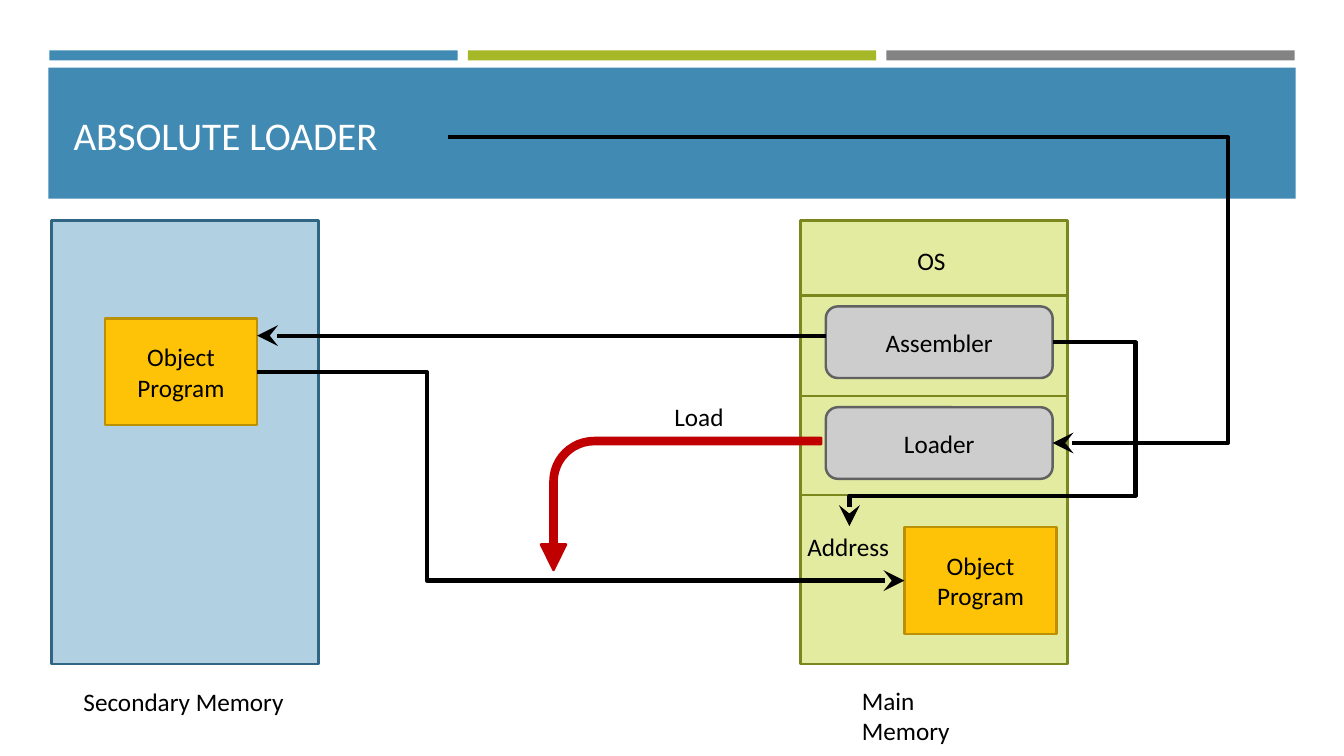
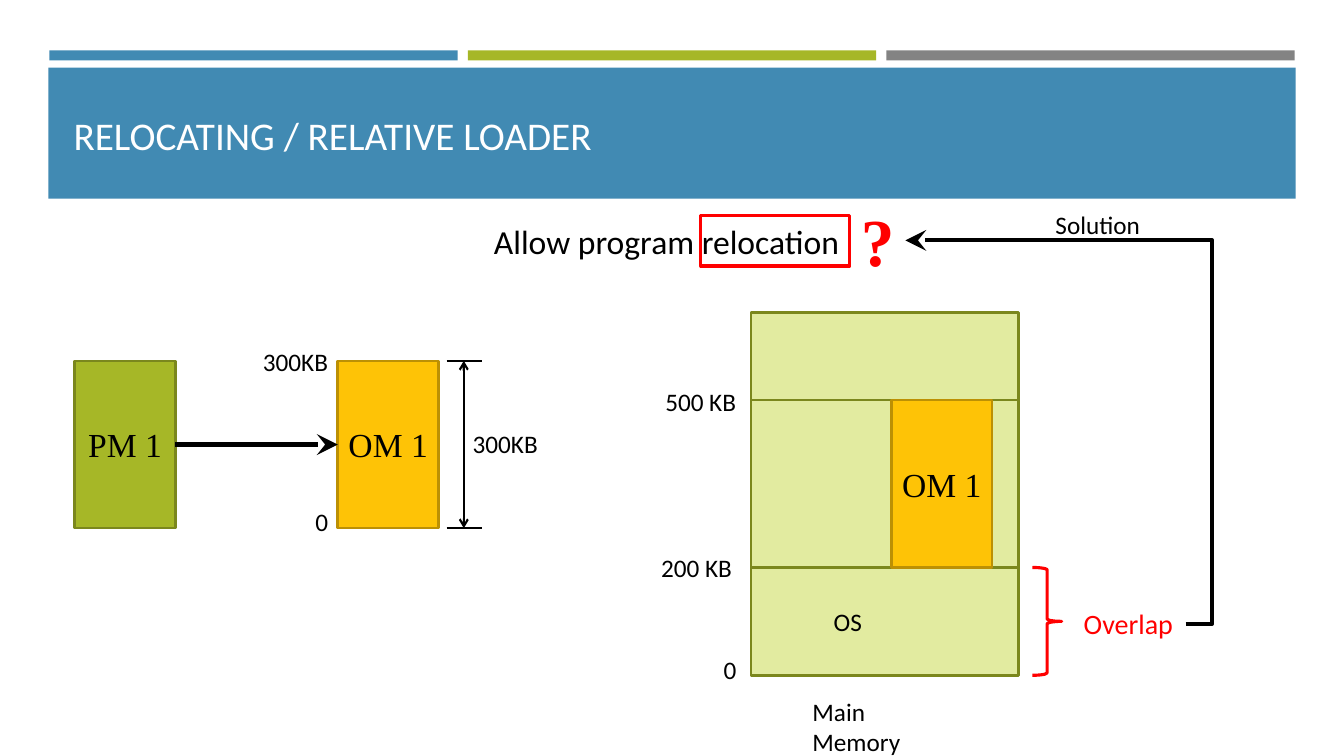
from lxml import etree
from pptx import Presentation
from pptx.dml.color import RGBColor
from pptx.enum import shapes, text
from pptx.oxml import ns
from pptx.util import Inches, Pt

BLUE = RGBColor(0x41, 0x8A, 0xB3)
PALE_BLUE = RGBColor(0xB1, 0xD1, 0xE3)
DARK_BLUE = RGBColor(0x30, 0x66, 0x84)
GREEN = RGBColor(0xA6, 0xB7, 0x27)
PALE_GREEN = RGBColor(0xE2, 0xEB, 0xA0)
DARK_GREEN = RGBColor(0x7B, 0x87, 0x1D)
GREY = RGBColor(0x83, 0x83, 0x83)
PALE_GREY = RGBColor(0xCD, 0xCD, 0xCD)
DARK_GREY = RGBColor(0x61, 0x61, 0x61)
AMBER = RGBColor(0xFE, 0xC3, 0x06)
DARK_AMBER = RGBColor(0xBC, 0x90, 0x04)
CRIMSON = RGBColor(0xC0, 0x00, 0x00)
RED = RGBColor(0xFF, 0x00, 0x00)
BLACK = RGBColor(0x00, 0x00, 0x00)
WHITE = RGBColor(0xFF, 0xFF, 0xFF)

SANS, SERIF = "Calibri", "Times New Roman"
OUTLINE = 1.75
KIND = shapes.MSO_SHAPE
TOP, LEFT, RIGHT = 0, 1, 3


def write(frame, words, size=18, name=SANS, color=BLACK, bold=False, align=None):
    """Fill a text frame, one paragraph for each line of words."""
    formats = {"size": Pt(size), "name": name, "bold": bold}
    for number, line in enumerate(words.split("\n")):
        para = frame.add_paragraph() if number else frame.paragraphs[0]
        para.alignment = align
        span = para.add_run()
        span.text = line
        for key, value in formats.items():
            setattr(span.font, key, value)
        span.font.color.rgb = color


def add_block(page, place, fill=None, line=None, kind=KIND.RECTANGLE,
              width=OUTLINE, words="", **font):
    block = page.shapes.add_shape(kind, *map(Inches, place))
    block.shadow.inherit = False
    if fill is None:
        block.fill.background()
    else:
        block.fill.solid()
        block.fill.fore_color.rgb = fill
    if line is None:
        block.line.fill.background()
    else:
        block.line.color.rgb = line
        block.line.width = Pt(width)
    if words:
        frame = block.text_frame
        frame.margin_left = frame.margin_right = 0
        frame.vertical_anchor = text.MSO_ANCHOR.MIDDLE
        write(frame, words, align=text.PP_ALIGN.CENTER, **font)
    return block


def add_label(page, words, left, top, width, height=0.4, wrap=False, **font):
    box = page.shapes.add_textbox(*map(Inches, (left, top, width, height)))
    frame = box.text_frame
    frame.word_wrap = wrap
    frame.auto_size = text.MSO_AUTO_SIZE.SHAPE_TO_FIT_TEXT
    write(frame, words, **font)
    return box


def finish_line(connector, color, width, heads):
    """Set colour, width and arrowheads; heads maps headEnd or tailEnd to (type, size)."""
    connector.line.color.rgb = color
    connector.line.width = Pt(width)
    line = connector.line._get_or_add_ln()
    for end in ("headEnd", "tailEnd"):
        if end in heads:
            kind, size = heads[end]
            etree.SubElement(line, ns.qn(f"a:{end}"), type=kind, w=size, len=size)
    etree.SubElement(connector._element.spPr, ns.qn("a:effectLst"))


def join(connector, begin, end):
    """Glue the ends to (shape, side) pairs, where given."""
    if begin:
        connector.begin_connect(*begin)
    if end:
        connector.end_connect(*end)


def add_line(page, start, stop, color=BLACK, width=3, begin=None, end=None, **heads):
    connector = page.shapes.add_connector(
        shapes.MSO_CONNECTOR.STRAIGHT, *map(Inches, (*start, *stop)))
    join(connector, begin, end)
    finish_line(connector, color, width, heads)


def add_elbow(page, start, stop, bend_x, bend_y=None, begin=None, end=None):
    """Draw an arrow that turns at bend_x and, when given, again at bend_y."""
    connector = page.shapes.add_connector(
        shapes.MSO_CONNECTOR.ELBOW, *map(Inches, (*start, *stop)))
    join(connector, begin, end)
    bends = [(bend_x - start[0]) / (stop[0] - start[0])]
    if bend_y is not None:
        bends.append((bend_y - start[1]) / (stop[1] - start[1]))
    geometry = connector._element.spPr.find(ns.qn("a:prstGeom"))
    geometry.set("prst", f"bentConnector{len(bends) + 2}")
    guides = geometry.find(ns.qn("a:avLst"))
    if guides is None:
        guides = etree.SubElement(geometry, ns.qn("a:avLst"))
    for number, bend in enumerate(bends, 1):
        etree.SubElement(guides, ns.qn("a:gd"), name=f"adj{number}",
                         fmla=f"val {round(bend * 100000)}")
    finish_line(connector, BLACK, 3, {"tailEnd": ("stealth", "lg")})


def add_page(deck, heading):
    """Add a slide with the three stripes, the title band and its title."""
    page = deck.slides.add_slide(deck.slide_layouts[5])
    for column, color in enumerate((BLUE, GREEN, GREY)):
        add_block(page, (0.49 + 4.15 * column, 0.5, 4.05, 0.1), color)
    add_block(page, (0.48, 0.67, 12.37, 1.3), BLUE)
    title = page.shapes.title
    page.shapes._spTree.append(title._element)  # bring in front of the band
    title.left, title.top, title.width, title.height = map(
        Inches, (0.63, 0.8, 12.06, 1.08))
    title.text_frame.vertical_anchor = text.MSO_ANCHOR.MIDDLE
    write(title.text_frame, heading, 28, color=WHITE, align=text.PP_ALIGN.LEFT)
    return page


def add_memory(page, left, top, height, dividers):
    """Draw main memory with its dividing lines and caption."""
    width = 2.65
    add_block(page, (left, top, width, height), PALE_GREEN, DARK_GREEN)
    for y in dividers:
        add_line(page, (left, y), (left + width, y), DARK_GREEN, OUTLINE)
    add_label(page, "Main Memory", left + 0.51, top + height + 0.16, 1.2, 0.7, wrap=True)


def add_object_program(page, left, top):
    return add_block(page, (left, top, 1.51, 1.06), AMBER, DARK_AMBER,
                     words="Object\nProgram")


def add_module(page, words, left, top, fill, line):
    return add_block(page, (left, top, 1, 1.66), fill, line,
                     words=words, size=24, name=SERIF)


def add_load_arrow(page):
    arrow = add_block(page, (6.1, 3.61, 1.31, 2.78), CRIMSON, CRIMSON, KIND.BENT_ARROW)
    for number, value in enumerate((0.047, 0.095, 0.193, 0.331)):
        arrow.adjustments[number] = value
    arrow.rotation = 270
    arrow._element.spPr.xfrm.set("flipH", "1")


def build_absolute_loader(deck):
    page = add_page(deck, "ABSOLUTE LOADER")
    stealth = ("stealth", "lg")
    add_block(page, (0.51, 2.19, 2.65, 4.4), PALE_BLUE, DARK_BLUE)
    add_label(page, "Secondary Memory", 0.73, 6.76, 2.2)
    stored = add_object_program(page, 1.04, 3.16)
    add_memory(page, 7.94, 2.19, 4.4, (2.93, 3.93, 4.91))
    add_label(page, "OS", 9, 2.38, 0.53)
    assembler, loader = [
        add_block(page, (8.19, top, 2.25, 0.71), PALE_GREY, DARK_GREY,
                  KIND.ROUNDED_RECTANGLE, words=words)
        for words, top in (("Assembler", 3.04), ("Loader", 4.04))]
    add_line(page, (8.19, 3.33), (2.55, 3.33), tailEnd=stealth)
    loaded = add_object_program(page, 8.97, 5.23)
    add_load_arrow(page)
    add_label(page, "Load", 6.59, 3.93, 0.7)
    address = add_label(page, "Address", 7.91, 5.22, 1.03)
    add_elbow(page, (4.44, 1.36), (10.44, 4.39), 12.18, end=(loader, RIGHT))
    add_elbow(page, (10.44, 3.4), (8.43, 5.22), 11.26, 4.92,
              begin=(assembler, RIGHT), end=(address, TOP))
    add_elbow(page, (2.55, 3.69), (8.97, 5.76), 4.23,
              begin=(stored, RIGHT), end=(loaded, LEFT))


def build_relative_loader(deck):
    page = add_page(deck, "RELOCATING / RELATIVE LOADER")
    add_label(page, "Allow program relocation", 4.8, 2.14, 3.72, 0.5, size=24)
    add_block(page, (6.95, 2.14, 1.48, 0.5), line=RED, width=2.25)
    question = add_label(page, "?", 8.44, 1.93, 0.54, 0.91,
                         size=48, name=SERIF, color=RED, bold=True)

    top, bottom = 3.58, 5.24
    source = add_module(page, "PM 1", 0.74, top, GREEN, DARK_GREEN)
    target = add_module(page, "OM 1", 3.35, top, AMBER, DARK_AMBER)
    add_line(page, (1.74, 4.41), (3.35, 4.41), begin=(source, RIGHT),
             end=(target, LEFT), tailEnd=("stealth", "lg"))
    for y in (top, bottom):
        add_line(page, (4.43, y), (4.78, y), width=1.5)
    tip = ("arrow", "med")
    add_line(page, (4.6, bottom), (4.6, top), width=1.5, headEnd=tip, tailEnd=tip)

    add_memory(page, 7.45, 3.1, 3.6, (3.97, 5.63))
    for words, left, y, width in (
            ("300KB", 4.59, 4.2, 0.89), ("0", 3.03, 4.97, 0.33),
            ("300KB", 2.51, 3.39, 0.89), ("OS", 8.17, 5.97, 0.53),
            ("0", 7.08, 6.44, 0.33), ("200 KB", 6.46, 5.43, 0.96),
            ("500 KB", 6.5, 3.78, 0.96), ("Solution", 10.37, 2.03, 1.04)):
        add_label(page, words, left, y, width)
    add_block(page, (10.24, 5.63, 0.29, 1.07), line=RED,
              kind=KIND.RIGHT_BRACE, width=2.25)
    overlap = add_label(page, "Overlap", 10.65, 5.97, 1.11, 0.44, size=20, color=RED)
    add_elbow(page, (11.76, 6.19), (8.98, 2.39), 12.02,
              begin=(overlap, RIGHT), end=(question, RIGHT))
    add_module(page, "OM 1", 8.84, 3.97, AMBER, DARK_AMBER)


def main():
    deck = Presentation()
    deck.slide_width, deck.slide_height = Inches(13.33), Inches(7.5)
    build_absolute_loader(deck)
    build_relative_loader(deck)
    deck.save("out.pptx")


if __name__ == "__main__":
    main()
